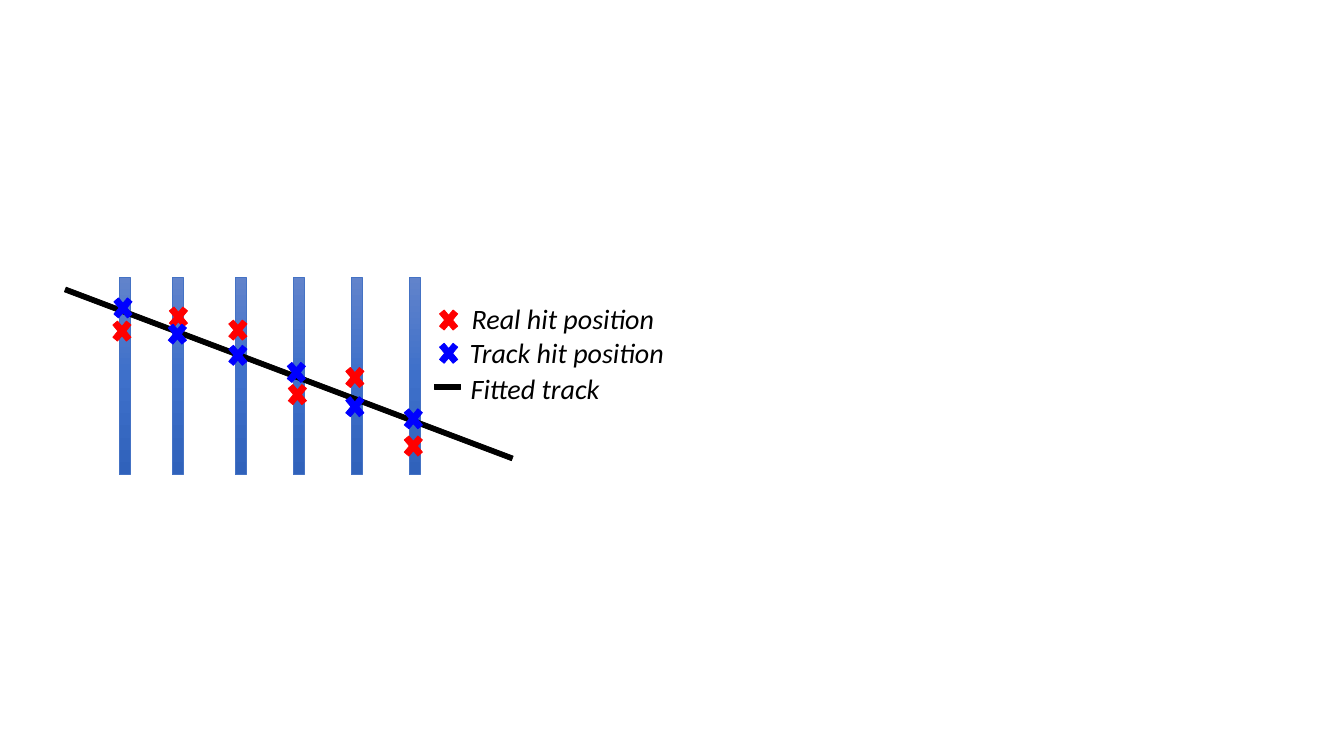
"""Draw a fitted track crossing six detector planes, with real and track hits."""
from copy import deepcopy
from pptx import Presentation
from pptx.dml.color import RGBColor
from pptx.enum.shapes import MSO_SHAPE as Shape
from pptx.enum.text import MSO_AUTO_SIZE as Fit
from pptx.oxml.ns import qn
from pptx.util import Inches, Pt


def tint(color, code):
    color.rgb = RGBColor.from_string(code)


def draw(kind, left, top, width, height, code, edge=None):
    shape = slide.shapes.add_shape(
        kind, Inches(left), Inches(top), Inches(width), Inches(height))
    shape.shadow.inherit = False
    shape.fill.solid()
    tint(shape.fill.fore_color, code)
    tint(shape.line.color, edge or code)
    shape.line.width = Pt(0.5)
    return shape


deck = Presentation()
deck.slide_width, deck.slide_height = Inches(13.33), Inches(7.5)
slide = deck.slides.add_slide(deck.slide_layouts[6])

for left in (1.18, 1.71, 2.33, 2.91, 3.48, 4.06):
    plane = draw(Shape.RECTANGLE, left, 2.75, 0.11, 1.96, "3E70CA", "4472C4")
    plane.fill.gradient()
    plane.fill.gradient_angle = 270
    stops = plane.element.spPr.find(qn("a:gradFill")).find(qn("a:gsLst"))
    stops.insert(1, deepcopy(stops[0]))
    shades = ("6183CB", 0), ("3E70CA", 0.5), ("3062BB", 1)
    for stop, (code, place) in zip(plane.fill.gradient_stops, shades):
        tint(stop.color, code)
        stop.position = place

track = draw(Shape.RECTANGLE, 2.84, 1.34, 0.05, 4.74, "000000")
track.rotation = 290.7

real = [(1.08, 3.13), (1.64, 2.99), (2.23, 3.12), (2.82, 3.76),
        (3.39, 3.59), (3.97, 4.27)]
fitted = [(1.09, 2.9), (1.63, 3.16), (2.23, 3.37), (2.81, 3.54),
          (3.39, 3.88), (3.97, 4)]
keys = [(4.32, 3.02)], [(4.32, 3.35)]
for hits, key, code in zip((real, fitted), keys, ("FF0000", "0000FF")):
    for left, top in hits + key:
        draw(Shape.MATH_MULTIPLY, left, top, 0.26, 0.31, code)
draw(Shape.RECTANGLE, 4.31, 3.81, 0.26, 0.05, "000000")

labels = [("Real hit position", 4.58, 2.94, 2.03),
          ("Track hit position", 4.56, 3.28, 2.15),
          ("Fitted track", 4.57, 3.64, 1.5)]
for words, left, top, width in labels:
    box = slide.shapes.add_textbox(
        Inches(left), Inches(top), Inches(width), Inches(0.44))
    frame = box.text_frame
    frame.word_wrap = False
    frame.auto_size = Fit.SHAPE_TO_FIT_TEXT
    frame.text = words
    font = frame.paragraphs[0].font
    font.name, font.size, font.italic = "Calibri", Pt(20), True
    tint(font.color, "000000")

deck.save("out.pptx")
